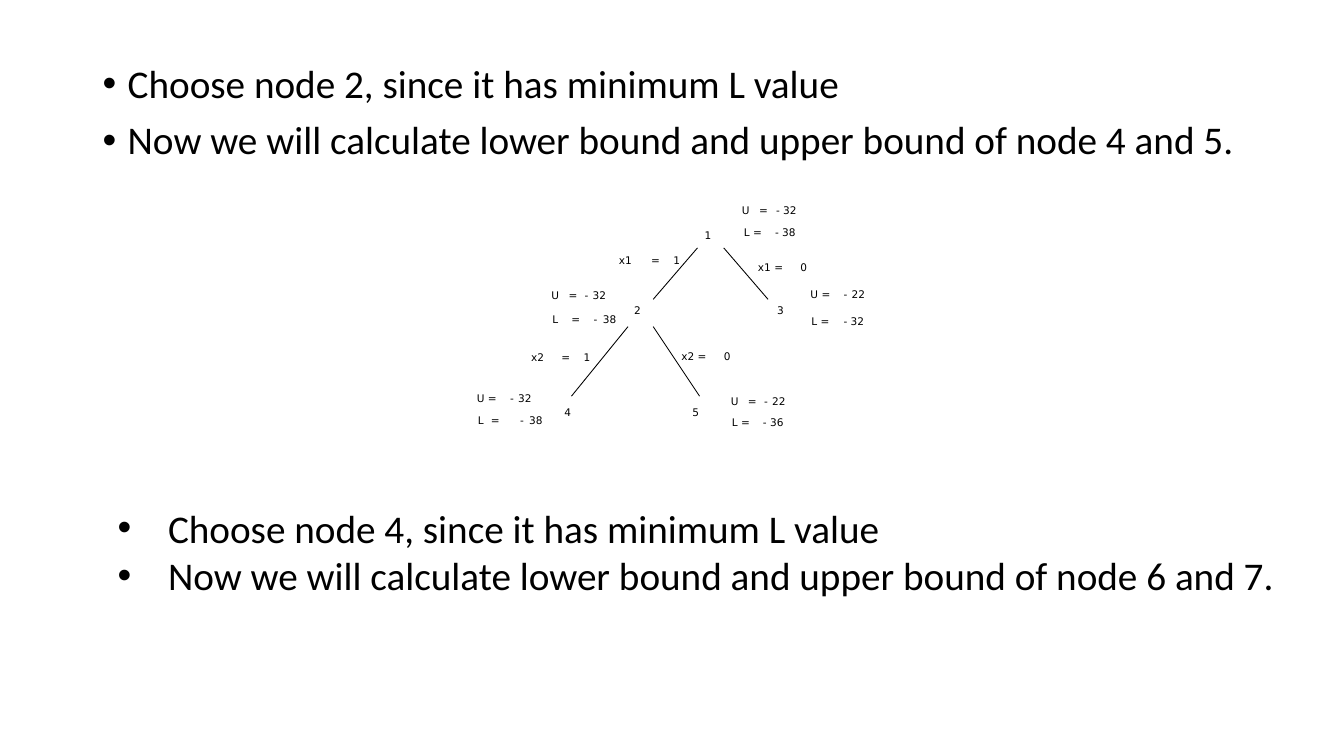
from lxml import etree
from pptx import Presentation
from pptx.dml.color import RGBColor
from pptx.enum.shapes import MSO_CONNECTOR as CONNECTOR
from pptx.enum.text import MSO_ANCHOR as ANCHOR
from pptx.oxml.ns import qn
from pptx.util import Pt

COLORS = {"ink": "000000", "background": "FFFFFF"}
INK = RGBColor.from_string(COLORS["ink"])

presentation = Presentation()
presentation.slide_width, presentation.slide_height = Pt(960), Pt(540)
slide = presentation.slides.add_slide(presentation.slide_layouts[6])
slide.background.fill.solid()
slide.background.fill.fore_color.rgb = RGBColor.from_string(COLORS["background"])


def add_text(box, lines, font, size, inset, spacing, indent=0):
    """Add a text box; a positive indent makes its lines bulleted."""
    shape = slide.shapes.add_textbox(*[Pt(length) for length in box])
    frame = shape.text_frame
    margins = {"margin_left": inset, "margin_right": inset,
               "margin_top": inset / 2, "margin_bottom": inset / 2}
    for name, value in margins.items():
        setattr(frame, name, Pt(value))
    frame.word_wrap = True
    frame.vertical_anchor = ANCHOR.TOP
    for index, line in enumerate(lines):
        paragraph = frame.paragraphs[0] if index == 0 else frame.add_paragraph()
        if indent:
            properties = paragraph._p.get_or_add_pPr()
            properties.set("marL", str(Pt(indent)))
            properties.set("indent", str(-Pt(indent)))
            etree.SubElement(properties, qn("a:buFont"), typeface="Arial")
            etree.SubElement(properties, qn("a:buChar"), char="•")
        for name, value in spacing.items():
            if name != "space_before" or index > 0:
                setattr(paragraph, name, value)
        run = paragraph.add_run()
        run.text = line
        for name, value in {"name": font, "size": Pt(size)}.items():
            setattr(run.font, name, value)
        run.font.color.rgb = INK


# Bulleted steps above and below the tree
add_text((66.2, 42.5, 828, 103),
         ["Choose node 2, since it has minimum L value",
          "Now we will calculate lower bound and upper bound of node 4 and 5."],
         "Calibri", 28, 7.2, {"line_spacing": 0.9, "space_before": Pt(10)}, 18)
add_text((77, 356.4, 842.4, 74.9),
         ["Choose node 4, since it has minimum L value",
          "Now we will calculate lower bound and upper bound of node 6 and 7."],
         "Calibri", 28, 7.2, {"line_spacing": 1.0}, 36)

# Tree edges: from parent to child
tree_edges = [
    (498.2, 177.1, 466.6, 213.8),
    (517, 177.1, 548.6, 213.8),
    (448.6, 233.3, 408.2, 283),
    (466.6, 233.3, 499.7, 283),
]
for edge in tree_edges:
    connector = slide.shapes.add_connector(
        CONNECTOR.STRAIGHT, *[Pt(length) for length in edge])
    connector.line.color.rgb = INK
    connector.line.width = Pt(0.61)
    etree.SubElement(connector._element.spPr, qn("a:effectLst"))

# Tree labels: top of each row, then left and text of its parts
label_rows = [
    # Node numbers
    (162.7, [(503.3, "1")]),
    (216.7, [(452.9, "2"), (555.1, "3")]),
    (289.4, [(403.2, "4"), (494.6, "5")]),
    # Choices on the edges
    (180.7, [(442.1, "x1"), (465.1, "="), (481, "1")]),
    (185.8, [(541.4, "x1 ="), (571.7, "0")]),
    (249.8, [(379.4, "x2"), (401, "="), (416.9, "1")]),
    (249.1, [(486.7, "x2 ="), (517, "0")]),
    # Bounds of nodes 1 to 5
    (145.4, [(529.9, "U"), (542.2, "="), (554.4, "-"), (559.4, "32")]),
    (160.6, [(531.4, "L ="), (553.7, "-"), (558.7, "38")]),
    (205.9, [(393.8, "U"), (406.1, "="), (417.6, "-"), (423.4, "32")]),
    (223.2, [(394.6, "L"), (408.2, "="), (424.1, "-"), (430.6, "38")]),
    (205.2, [(578.9, "U ="), (602.6, "-"), (608.4, "22")]),
    (224.6, [(579.6, "L ="), (602.6, "-"), (607.7, "32")]),
    (279.4, [(340.6, "U ="), (364.3, "-"), (370.1, "32")]),
    (295.2, [(341.3, "L"), (350.6, "="), (371.5, "-"), (378, "38")]),
    (281.5, [(522, "U"), (534.2, "="), (545.8, "-"), (551.5, "22")]),
    (296.6, [(522.7, "L ="), (545, "-"), (550.1, "36")]),
]
for top, parts in label_rows:
    for left, text in parts:
        add_text((left, top, 9.5 * len(text), 15), [text], "DejaVu Sans", 7.5, 0,
                 {"line_spacing": 1.07, "space_after": Pt(8)})

presentation.save("out.pptx")
